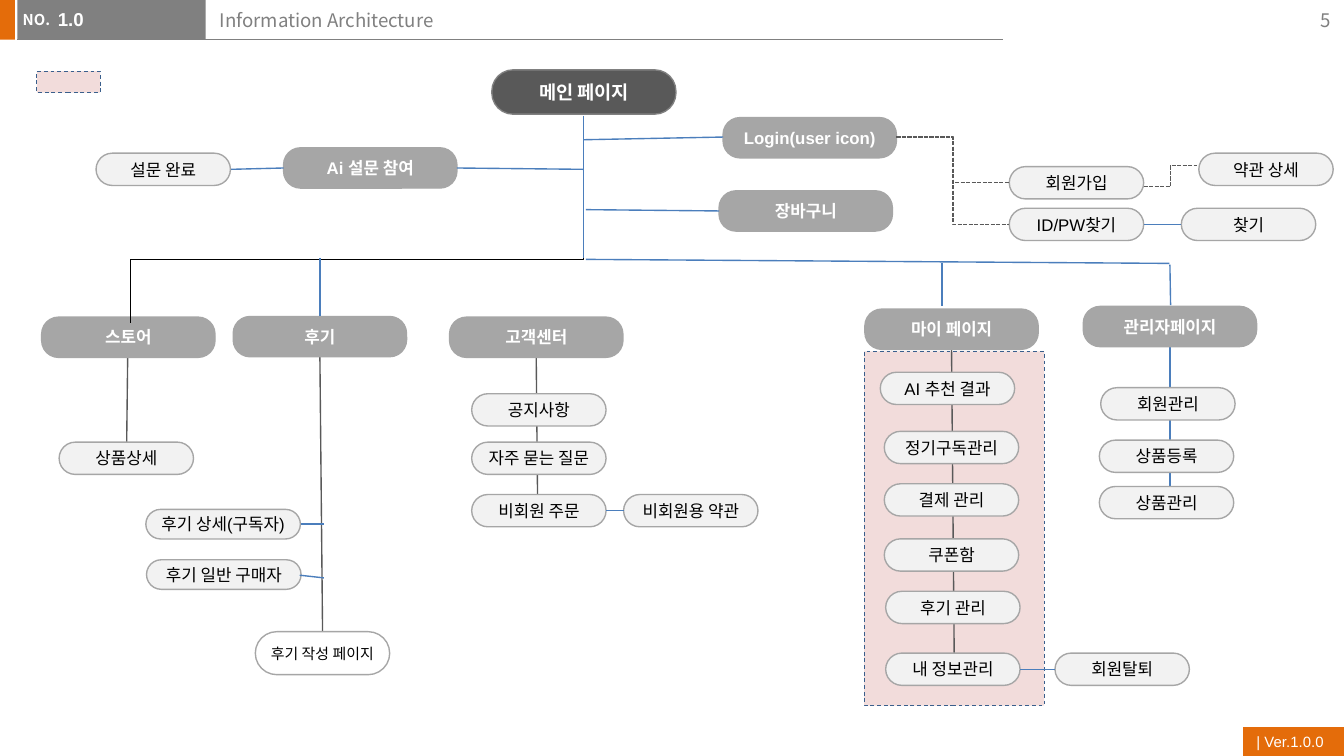
from dataclasses import dataclass
from typing import NamedTuple

from lxml.etree import SubElement
from pptx import Presentation
from pptx.dml.color import RGBColor
from pptx.enum.dml import MSO_LINE
from pptx.enum.shapes import MSO_CONNECTOR, MSO_SHAPE
from pptx.enum.text import MSO_ANCHOR, MSO_AUTO_SIZE, PP_ALIGN
from pptx.oxml.ns import qn
from pptx.util import Inches, Pt

COLUMNS, ROWS = 100, 56.25
WIDTH = Inches(10)
HEIGHT = WIDTH * 9 // 16
KOREAN = "Noto Sans CJK KR"
COLORS = {
    "orange": "E46C0A", "white": "FFFFFF", "black": "000000", "gray": "808080",
    "dark": "595959", "silver": "A6A6A6", "pale": "F2F2F2", "pink": "F2DCDB",
    "navy": "3A5F8C", "blue": "4B7EBC",
}


class Box(NamedTuple):
    left: float
    top: float
    width: float
    height: float


class Link(NamedTuple):
    x1: float
    y1: float
    x2: float
    y2: float


class Page(NamedTuple):
    label: str
    left: float
    top: float


@dataclass(frozen=True)
class Level:
    width: float
    height: float
    fill: str
    ink: str
    outline: str = "silver"
    size: int = 9
    bold: bool = False
    corner: float = 0.5


ROOT = Level(13.7, 3.3, "dark", "white", outline="gray", size=10, bold=True, corner=0.48)
SECTION = Level(12.9, 3, "silver", "white", bold=True, corner=0.42)
SCREEN = Level(10, 2.4, "pale", "black")
REVIEW = Level(11.5, 2.2, "pale", "black")
FORM = Level(10, 3.2, "white", "black", size=8)

PAGES = {
    ROOT: [Page("메인 페이지", 36.6, 5.2)],
    SECTION: [
        Page("Ai 설문 참여", 21.1, 11), Page("Login(user icon)", 53.8, 8.75),
        Page("장바구니", 53.5, 14.2), Page("스토어", 3.1, 23.6),
        Page("후기", 17.35, 23.55), Page("고객센터", 33.45, 23.6),
        Page("마이 페이지", 64.35, 23), Page("관리자페이지", 80.6, 22.8),
    ],
    SCREEN: [
        Page("설문 완료", 7.15, 11.4), Page("회원가입", 75.1, 12.4),
        Page("약관 상세", 89.2, 11.4), Page("ID/PW찾기", 75.1, 15.5),
        Page("찾기", 87.9, 15.5), Page("상품상세", 4.4, 32.9),
        Page("공지사항", 35.1, 29.3), Page("자주 묻는 질문", 35.1, 32.9),
        Page("비회원 주문", 35.1, 36.8), Page("비회원용 약관", 46.4, 36.8),
        Page("AI 추천 결과", 65.5, 27.7), Page("정기구독관리", 65.8, 32.1),
        Page("결제 관리", 65.8, 36), Page("쿠폰함", 65.8, 40.1),
        Page("후기 관리", 65.9, 44), Page("내 정보관리", 65.9, 48.6),
        Page("회원탈퇴", 78.5, 48.6), Page("회원관리", 81.9, 28.85),
        Page("상품등록", 81.8, 32.75), Page("상품관리", 81.8, 36.2),
    ],
    REVIEW: [Page("후기 상세(구독자)", 10.85, 37.9), Page("후기 일반 구매자", 10.9, 41.65)],
    FORM: [Page("후기 작성 페이지", 19, 47)],
}

SECTION_SPINES = [
    Link(9.5, 26.6, 9.4, 35.3), Link(23.8, 26.3, 24, 47),
    Link(39.9, 26.6, 40, 37.3), Link(70.8, 26, 71, 49),
]
ADMIN_SPINE = Link(87.05, 25.8, 87.05, 37.1)
BRANCHES = [
    Link(43.4, 8.6, 43.4, 19.2), Link(43.4, 12.6, 34, 12.5), Link(43.4, 10.4, 53.8, 10.2),
    Link(43.6, 15.6, 53.5, 15.7), Link(17.2, 12.6, 21.1, 12.5), Link(85.1, 16.7, 87.9, 16.7),
    Link(23.8, 19.2, 23.8, 23.5), Link(43.6, 19.3, 87, 19.6), Link(70.1, 19.6, 70.1, 22.8),
    Link(87.05, 19.7, 87.1, 22.7), Link(22.4, 39, 24.1, 39), Link(22.3, 42.8, 24.1, 43),
    Link(45.1, 38, 46.4, 38), Link(75.9, 49.8, 78.5, 49.8),
]
MEMBER_LINKS = [
    Link(66.7, 10.2, 75.1, 13.6), Link(66.7, 10.2, 75.1, 16.7), Link(85.1, 13.9, 89.1, 12.3),
]
# Quarter-turned, this runs from the root trunk down to the store section.
STORE_LINK = Link(21.8, 2.45, 31.3, 36.15)


def across(columns: float) -> int:
    return round(WIDTH * columns / COLUMNS)


def down(rows: float) -> int:
    return round(HEIGHT * rows / ROWS)


def rgb(name: str) -> RGBColor:
    return RGBColor.from_string(COLORS[name])


def place(shape, box: Box) -> None:
    shape.left, shape.top = across(box.left), down(box.top)
    shape.width, shape.height = across(box.width), down(box.height)


def write(shape, text: str, *, size: float, color: str, font: str = "Arial",
          bold: bool = False, align=PP_ALIGN.LEFT, anchor=MSO_ANCHOR.MIDDLE,
          margins: tuple = (0.1, 0.05), before: float = 0, wrap: bool = True) -> None:
    """Fill a shape with one formatted paragraph; margins are (sides, top and bottom)."""
    frame = shape.text_frame
    frame.auto_size, frame.word_wrap = MSO_AUTO_SIZE.NONE, wrap
    frame.vertical_anchor = anchor
    frame.margin_left = frame.margin_right = Inches(margins[0])
    frame.margin_top = frame.margin_bottom = Inches(margins[1])
    paragraph = frame.paragraphs[0]
    paragraph.alignment, paragraph.space_before = align, Pt(before)
    run = paragraph.add_run()
    run.text = text
    run.font.size, run.font.bold, run.font.name = Pt(size), bold, font
    run.font.color.rgb = rgb(color)
    SubElement(run.font._element, qn("a:ea"), typeface=KOREAN)


def add_block(slide, box: Box, fill: str, outline: str = "", weight: float = 0.5,
              dash=None, preset=MSO_SHAPE.RECTANGLE):
    block = slide.shapes.add_shape(preset, 0, 0, 0, 0)
    place(block, box)
    block.shadow.inherit = False
    block.fill.solid()
    block.fill.fore_color.rgb = rgb(fill)
    if outline:
        block.line.color.rgb = rgb(outline)
        block.line.width, block.line.dash_style = Pt(weight), dash
    else:
        block.line.fill.background()
    return block


def add_page(slide, page: Page, level: Level) -> None:
    node = add_block(slide, Box(page.left, page.top, level.width, level.height), level.fill,
                     level.outline, 0.75, preset=MSO_SHAPE.ROUNDED_RECTANGLE)
    node.adjustments[0] = level.corner
    write(node, page.label, size=level.size, color=level.ink, bold=level.bold,
          align=PP_ALIGN.CENTER, margins=(0.02, 0.02), before=level.size / 10)


def add_link(slide, link: Link, color: str, weight: float = 0.75, dash=None,
             kind=MSO_CONNECTOR.STRAIGHT):
    line = slide.shapes.add_connector(kind, across(link.x1), down(link.y1),
                                      across(link.x2), down(link.y2))
    line.line.color.rgb = rgb(color)
    line.line.width, line.line.dash_style = Pt(weight), dash
    SubElement(line._element.spPr, qn("a:effectLst"))
    return line


def add_header(slide) -> None:
    add_block(slide, Box(-0.1, 0, 1.2, 2.95), "orange")
    version = add_block(slide, Box(92.5, 54.1, 7.5, 2.15), "orange")
    write(version, "| Ver.1.0.0", size=8, color="white")
    add_link(slide, Link(1.3, 2.95, 74.6, 2.95), "gray", 0.5)
    add_block(slide, Box(1.3, 0, 14, 2.95), "gray")

    for text, box, style in (
        ("NO.", Box(0.7, 0.3, 4.1, 2.4),
         dict(size=8, color="white", bold=True, anchor=MSO_ANCHOR.TOP, wrap=False)),
        ("5", Box(94, 0, 6, 3), dict(size=10, color="gray", align=PP_ALIGN.RIGHT)),
    ):
        label = slide.shapes.add_textbox(0, 0, 0, 0)
        place(label, box)
        write(label, text, font=KOREAN, **style)

    title, number = slide.shapes.title, slide.placeholders[1]
    place(title, Box(15.35, 0.15, 59.1, 3.2))
    write(title, "Information Architecture", size=10, color="gray", font=KOREAN,
          anchor=MSO_ANCHOR.TOP)
    place(number, Box(4.3, 0.1, 11, 3.1))
    write(number, "1.0", size=10, color="white", bold=True, anchor=MSO_ANCHOR.TOP,
          margins=(0, 0.05), before=2)
    properties = number.text_frame.paragraphs[0]._p.get_or_add_pPr()
    properties.set("marL", "0")
    properties.set("indent", "0")
    SubElement(properties, qn("a:buNone"))
    for placeholder in (title, number):  # bring in front of the header band
        slide.shapes._spTree.append(placeholder._element)


def main() -> None:
    deck = Presentation()
    deck.slide_width, deck.slide_height = WIDTH, HEIGHT
    slide = deck.slides.add_slide(deck.slide_layouts[1])
    add_header(slide)
    for panel in (Box(64.3, 26.15, 13.4, 26.35), Box(2.75, 5.3, 4.7, 1.6)):
        add_block(slide, panel, "pink", "navy", dash=MSO_LINE.DASH)
    for spine in SECTION_SPINES:
        add_link(slide, spine, "dark")
    add_link(slide, ADMIN_SPINE, "blue")
    for level, pages in PAGES.items():
        for page in pages:
            add_page(slide, page, level)
    store = add_link(slide, STORE_LINK, "black", kind=MSO_CONNECTOR.ELBOW)
    store._element.spPr.find(qn("a:xfrm")).set("rot", str(90 * 60000))
    for branch in BRANCHES:
        add_link(slide, branch, "blue")
    for link in MEMBER_LINKS:
        add_link(slide, link, "dark", dash=MSO_LINE.SQUARE_DOT, kind=MSO_CONNECTOR.ELBOW)
    deck.save("out.pptx")


if __name__ == "__main__":
    main()
